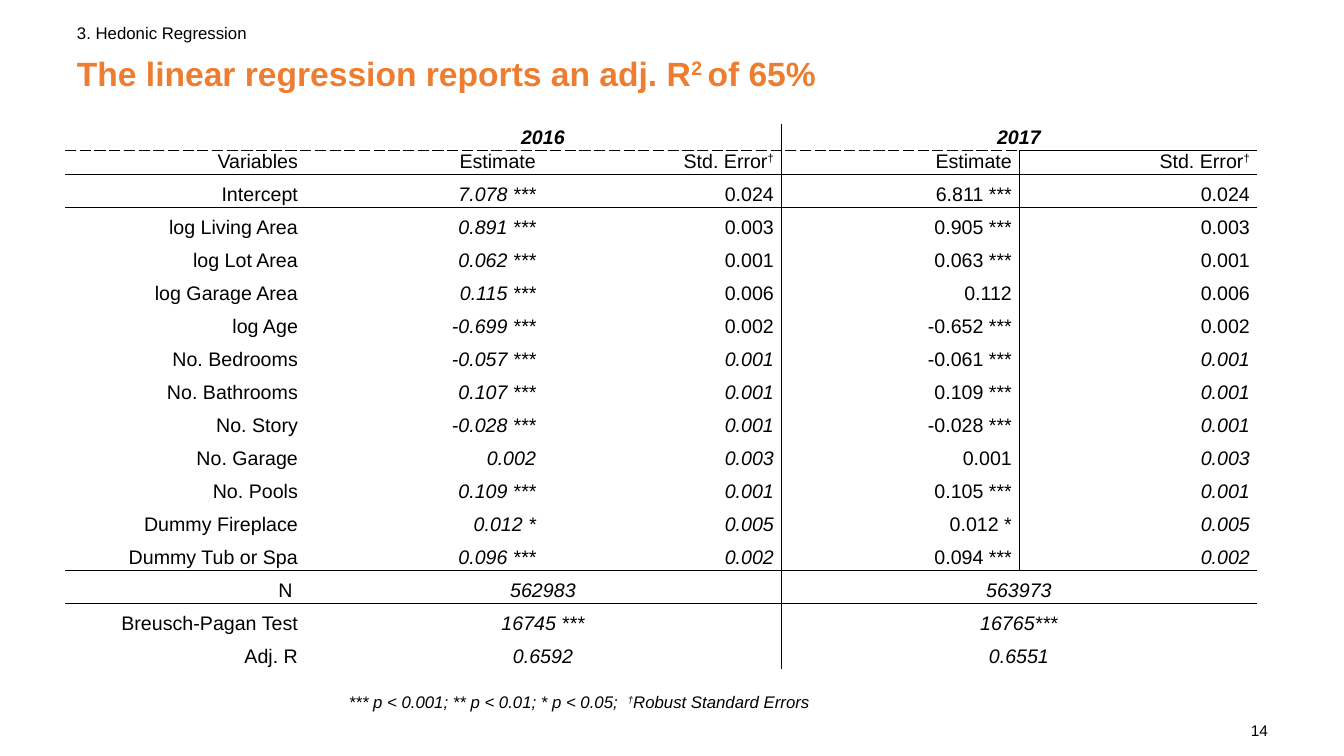
from lxml import etree
from pptx import Presentation
from pptx.dml.color import RGBColor
from pptx.enum.text import MSO_ANCHOR, PP_ALIGN
from pptx.oxml.ns import qn
from pptx.util import Emu, Pt

LEFT, CENTER, RIGHT = PP_ALIGN.LEFT, PP_ALIGN.CENTER, PP_ALIGN.RIGHT
TOP, MIDDLE, BOTTOM = MSO_ANCHOR.TOP, MSO_ANCHOR.MIDDLE, MSO_ANCHOR.BOTTOM
PX = 12192000 / 1344
COLORS = {"title": "ED7D31", "text": "000000"}
SIDES = ("left", "top", "right", "bottom")
PLAIN_STYLE = "{2D5ABB26-0587-4C30-8999-92F81FD0307C}"
HAIRLINE = Pt(0.25)


def write(frame, text, size, align=LEFT, color="text", **font):
    """Fill the first paragraph; every second part between bars is raised."""
    para = frame.paragraphs[0]
    para.alignment = align
    for index, part in enumerate(text.split("|")):
        if not part:
            continue
        span = para.add_run()
        span.text = part
        for name, value in {"name": "Arial", "size": Pt(size), **font}.items():
            setattr(span.font, name, value)
        span.font.color.rgb = RGBColor.from_string(COLORS[color])
        if index % 2:
            span._r.get_or_add_rPr().set("baseline", "30000")
    return para


def add_border(cell, tag, dash):
    line = etree.SubElement(cell._tc.get_or_add_tcPr(), qn(tag), w=str(HAIRLINE))
    fill = etree.SubElement(line, qn("a:solidFill"))
    etree.SubElement(fill, qn("a:srgbClr"), val=COLORS["text"])
    etree.SubElement(line, qn("a:prstDash"), val=dash)


deck = Presentation()
deck.slide_width, deck.slide_height = Emu(12192000), Emu(6858000)
slide = deck.slides.add_slide(deck.slide_layouts[6])

# Text boxes: place, margins, anchor, text and its format
texts = [
    ((77, 52, 1055, 103), (0, 5, 10, 5), TOP,
     "The linear regression reports an adj. R|2 |of 65%",
     {"size": 24, "color": "title", "bold": True}),
    ((77, 21, 1024, 24), (0, 0, 0, 0), MIDDLE, "3. Hedonic Regression", {"size": 12}),
    ((1200, 716, 68, 30), (0, 5, 0, 5), TOP, "14", {"size": 11, "align": RIGHT}),
    ((345, 688, 488, 30), (4, 4, 4, 0), TOP,
     "*** p < 0.001; ** p < 0.01; * p < 0.05;  |†|Robust Standard Errors",
     {"size": 12, "italic": True}),
]
for place, margins, anchor, text, style in texts:
    frame = slide.shapes.add_textbox(*(Emu(int(n * PX)) for n in place)).text_frame
    frame.word_wrap = True
    frame.vertical_anchor = anchor
    for side, margin in zip(SIDES, margins):
        setattr(frame, f"margin_{side}", Emu(int(margin * PX)))
    para = write(frame, text, **style)
    if style.get("color") == "title":
        para.line_spacing = 0.9

# Regression table: a year row, a heading row, coefficients, then test statistics
rows = [
    ("", "2016", "", "2017", ""),
    ("Variables", "Estimate", "Std. Error|†", "Estimate", "Std. Error|†"),
    ("Intercept", "7.078 ***", "0.024", "6.811 ***", "0.024"),
    ("log Living Area", "0.891 ***", "0.003", "0.905 ***", "0.003"),
    ("log Lot Area", "0.062 ***", "0.001", "0.063 ***", "0.001"),
    ("log Garage Area", "0.115 ***", "0.006", "0.112", "0.006"),
    ("log Age", "-0.699 ***", "0.002", "-0.652 ***", "0.002"),
    ("No. Bedrooms", "-0.057 ***", "0.001", "-0.061 ***", "0.001"),
    ("No. Bathrooms", "0.107 ***", "0.001", "0.109 ***", "0.001"),
    ("No. Story", "-0.028 ***", "0.001", "-0.028 ***", "0.001"),
    ("No. Garage", "0.002", "0.003", "0.001", "0.003"),
    ("No. Pools", "0.109 ***", "0.001", "0.105 ***", "0.001"),
    ("Dummy Fireplace", "0.012 *", "0.005", "0.012 *", "0.005"),
    ("Dummy Tub or Spa", "0.096 ***", "0.002", "0.094 ***", "0.002"),
    ("N ", "562983", "", "563973", ""),
    ("Breusch-Pagan Test", "16745 ***", "", "16765***", ""),
    ("Adj. R", "0.6592", "", "0.6551", ""),
]
FIRST_COUNT_ROW, FIRST_TEST_ROW = 7, 14
RULED_ROWS = (0, 1, 13)
widths = [240] + [238] * 4
heights = [26, 24] + [33] * 15
place = (65, 124, sum(widths), sum(heights))
table = slide.shapes.add_table(
    len(rows), len(widths), *(Emu(int(n * PX)) for n in place)).table
table.first_row = table.horz_banding = False
table._tbl.tblPr.find(qn("a:tableStyleId")).text = PLAIN_STYLE
for column, width in zip(table.columns, widths):
    column.width = Emu(int(width * PX))
for row, height in zip(table.rows, heights):
    row.height = Emu(int(height * PX))

for r, values in enumerate(rows):
    merged = r == 0 or r >= FIRST_TEST_ROW
    if merged:
        for c in (1, 3):
            table.cell(r, c).merge(table.cell(r, c + 1))
    for c, value in enumerate(values):
        cell = table.cell(r, c)
        borders = {
            "a:lnL": c == 3,
            "a:lnR": c == 2,
            "a:lnT": r - 1 in RULED_ROWS,
            "a:lnB": r in RULED_ROWS,
        }
        for tag, shown in borders.items():
            if shown:
                dashed = c < 4 and (tag, r) in (("a:lnB", 0), ("a:lnT", 1))
                add_border(cell, tag, "sysDash" if dashed else "solid")
        cell.fill.background()
        cell.vertical_anchor = BOTTOM
        for side, margin in zip(SIDES, (7, 0, 7, 1)):
            setattr(cell, f"margin_{side}", Emu(int(margin * PX)))
        italic = c > 0 and r != 1 and (
            merged or c == 1 or (c in (2, 4) and r >= FIRST_COUNT_ROW))
        align = CENTER if merged and c else RIGHT
        para = write(cell.text_frame, value, 14, align, bold=r == 0, italic=italic)
        para.line_spacing, para.space_after = Pt(16), Pt(10)
        if not value:
            para.font.size = Pt(14)

deck.save("out.pptx")
